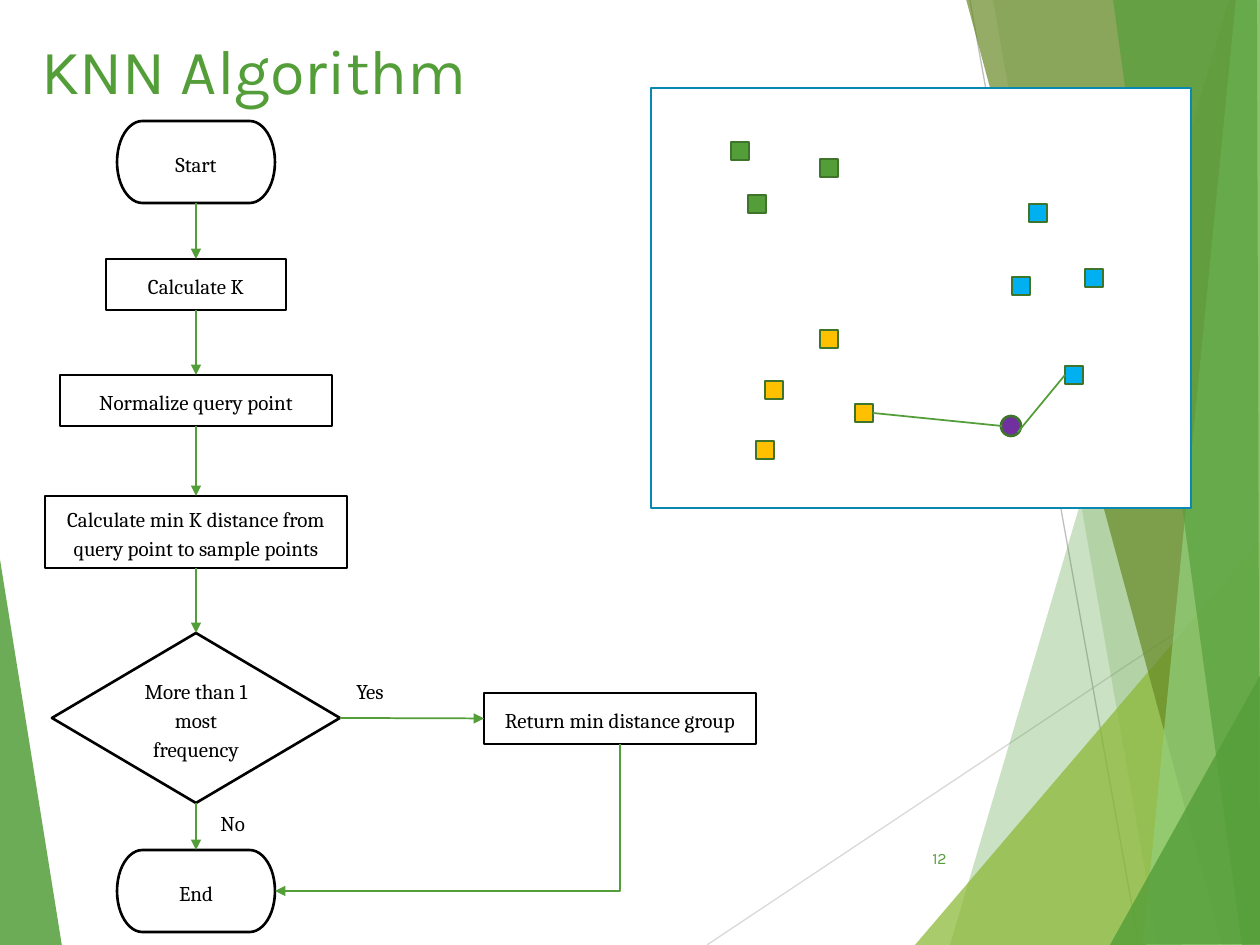
"""Build the KNN Algorithm slide: a flowchart beside a scatter of sample points."""
from lxml import etree
from pptx import Presentation, util as u
from pptx.dml.color import RGBColor
from pptx.enum import shapes as kinds, text as t
from pptx.oxml.ns import qn

PX = 7257
GREEN = "549E39"
BOX = kinds.MSO_SHAPE.RECTANGLE
PILL = kinds.MSO_SHAPE.FLOWCHART_TERMINATOR
DIAMOND = kinds.MSO_SHAPE.FLOWCHART_DECISION
STRAIGHT = kinds.MSO_CONNECTOR.STRAIGHT
ELBOW = kinds.MSO_CONNECTOR.ELBOW


def write(holder, words, size=12, font="Cambria", color="000000", align=t.PP_ALIGN.CENTER,
          anchor=t.MSO_ANCHOR.MIDDLE, wrap=True, spacing=1.15, after=10):
    frame = holder.text_frame
    frame.text = words
    frame.word_wrap = wrap
    frame.vertical_anchor = anchor
    paragraph = frame.paragraphs[0]
    paragraph.alignment = align
    paragraph.line_spacing = spacing
    paragraph.space_after = u.Pt(after)
    paragraph.font.size = u.Pt(size)
    paragraph.font.name = font
    paragraph.font.color.rgb = RGBColor.from_string(color)


def add_centred(kind, x, y, width, height, fill="FFFFFF", outline="000000"):
    shape = slide.shapes.add_shape(
        kind, (x - width // 2) * PX, (y - height // 2) * PX, width * PX, height * PX)
    shape.shadow.inherit = False
    shape.fill.solid()
    shape.fill.fore_color.rgb = RGBColor.from_string(fill)
    shape.line.color.rgb = RGBColor.from_string(outline)
    shape.line.width = u.Pt(1.5)
    return shape


deck = Presentation()
deck.slide_width, deck.slide_height = u.Inches(10), u.Inches(7.5)
slide = deck.slides.add_slide(deck.slide_layouts[5])
lines = []

title = slide.shapes.title
title.left, title.top, title.width, title.height = 29 * PX, 21 * PX, 874 * PX, 96 * PX
write(title, "KNN Algorithm", size=36, font="Karla", color=GREEN,
      align=t.PP_ALIGN.LEFT, spacing=1, after=0)

for x1, y1, x2, y2, color in [(707, 945, 1261, 576, "D9D9D9"), (970, 0, 1139, 945, "BFBFBF")]:
    ray = slide.shapes.add_connector(STRAIGHT, x1 * PX, y1 * PX, x2 * PX, y2 * PX)
    lines.append((ray, color, 0.75, False))

facets = [
    (GREEN, 85, [(-1, 553), (62, 946), (-1, 945)]),
    (GREEN, 30, [(1229, 0), (950, 945), (1262, 946), (1261, 1)]),
    (GREEN, 20, [(993, -1), (1158, 945), (1261, 945), (1261, -1)]),
    ("8AB833", 72, [(915, 945), (1260, 541), (1261, 945)]),
    ("678A26", 70, [(966, -1), (1222, 945), (1261, 944), (1261, -1)]),
    ("93D07D", 70, [(1236, -1), (1143, 945), (1261, 945), (1260, -1)]),
    (GREEN, 65, [(1113, -1), (1242, 945), (1260, 945), (1257, -1)]),
    (GREEN, 80, [(1110, 945), (1261, 674), (1261, 944)]),
]
for color, opacity, corners in facets:
    outline = slide.shapes.build_freeform(*corners[0], scale=PX)
    outline.add_line_segments(corners[1:], close=True)
    facet = outline.convert_to_shape()
    facet.shadow.inherit = False
    facet.fill.solid()
    facet.fill.fore_color.rgb = RGBColor.from_string(color)
    facet.line.fill.background()
    tint = facet.element.spPr.find(".//" + qn("a:srgbClr"))
    etree.SubElement(tint, qn("a:alpha")).set("val", str(opacity * 1000))

add_centred(BOX, 921, 298, 540, 420, outline="0989B1")
groups = {
    GREEN: [(740, 151), (757, 204), (829, 168)],
    "00B0F0": [(1038, 213), (1021, 286), (1094, 278), (1074, 375)],
    "FFC000": [(829, 339), (774, 390), (765, 450), (864, 413)],
}
nearest = []
for color, centres in groups.items():
    for x, y in centres:
        sample = add_centred(BOX, x, y, 18, 18, color, "3E752A")
    nearest.append(sample)
add_centred(kinds.MSO_SHAPE.OVAL, 1011, 426, 20, 20, "7030A0", "3E752A")
for x, y, sample, side in [(1018, 432, nearest[1], 1), (1002, 426, nearest[2], 3)]:
    distance = slide.shapes.add_connector(STRAIGHT, x * PX, y * PX, x * PX, y * PX)
    distance.end_connect(sample, side)
    lines.append((distance, GREEN, 1, False))

steps = []
for kind, words, x, y, width, height in [
    (PILL, "Start", 196, 162, 158, 82),
    (BOX, "Calculate K", 196, 284, 180, 51),
    (BOX, "Normalize query point", 196, 400, 272, 51),
    (BOX, "Calculate min K distance from query point to sample points", 196, 532, 302, 72),
    (DIAMOND, "More than 1 most frequency", 196, 718, 288, 170),
    (PILL, "End", 196, 891, 158, 82),
    (BOX, "Return min distance group", 620, 718, 272, 51),
]:
    step = add_centred(kind, x, y, width, height)
    write(step, words)
    steps.append(step)
*chain, result = steps
decision, end = chain[-2:]

flows = [(STRAIGHT, upper, 2, lower, 0) for upper, lower in zip(chain, chain[1:])]
flows += [(STRAIGHT, decision, 3, result, 1), (ELBOW, result, 2, end, 3)]
for kind, source, source_side, target, target_side in flows:
    flow = slide.shapes.add_connector(kind, 0, 0, 0, 0)
    flow.begin_connect(source, source_side)
    flow.end_connect(target, target_side)
    lines.append((flow, GREEN, 1, True))

across, down = flow.width, flow.height
middle_x, middle_y = flow.left + across // 2, flow.top + down // 2
flow.left, flow.top = middle_x - down // 2, middle_y - across // 2
flow.width, flow.height = down, across
frame = flow.element.spPr.find(qn("a:xfrm"))
frame.attrib.clear()
frame.set("rot", "5400000")
flow.element.spPr.find(qn("a:prstGeom")).set("prst", "bentConnector2")

for line, color, width, arrow in lines:
    line.line.color.rgb = RGBColor.from_string(color)
    line.line.width = u.Pt(width)
    if arrow:
        etree.SubElement(line.line._get_or_add_ln(), qn("a:tailEnd")).set("type", "triangle")
    etree.SubElement(line.element.spPr, qn("a:effectLst"))

answer = dict(align=t.PP_ALIGN.LEFT, anchor=t.MSO_ANCHOR.TOP, wrap=False)
number = dict(size=9, font="Karla", color=GREEN, align=t.PP_ALIGN.RIGHT, spacing=1, after=0)
for words, x, y, width, height, look in [
    ("No", 208, 801, 62, 62, answer),
    ("Yes", 344, 669, 69, 62, answer),
    ("12", 888, 833, 71, 50, number),
]:
    label = slide.shapes.add_textbox(x * PX, y * PX, width * PX, height * PX)
    write(label, words, **look)

deck.save("out.pptx")
